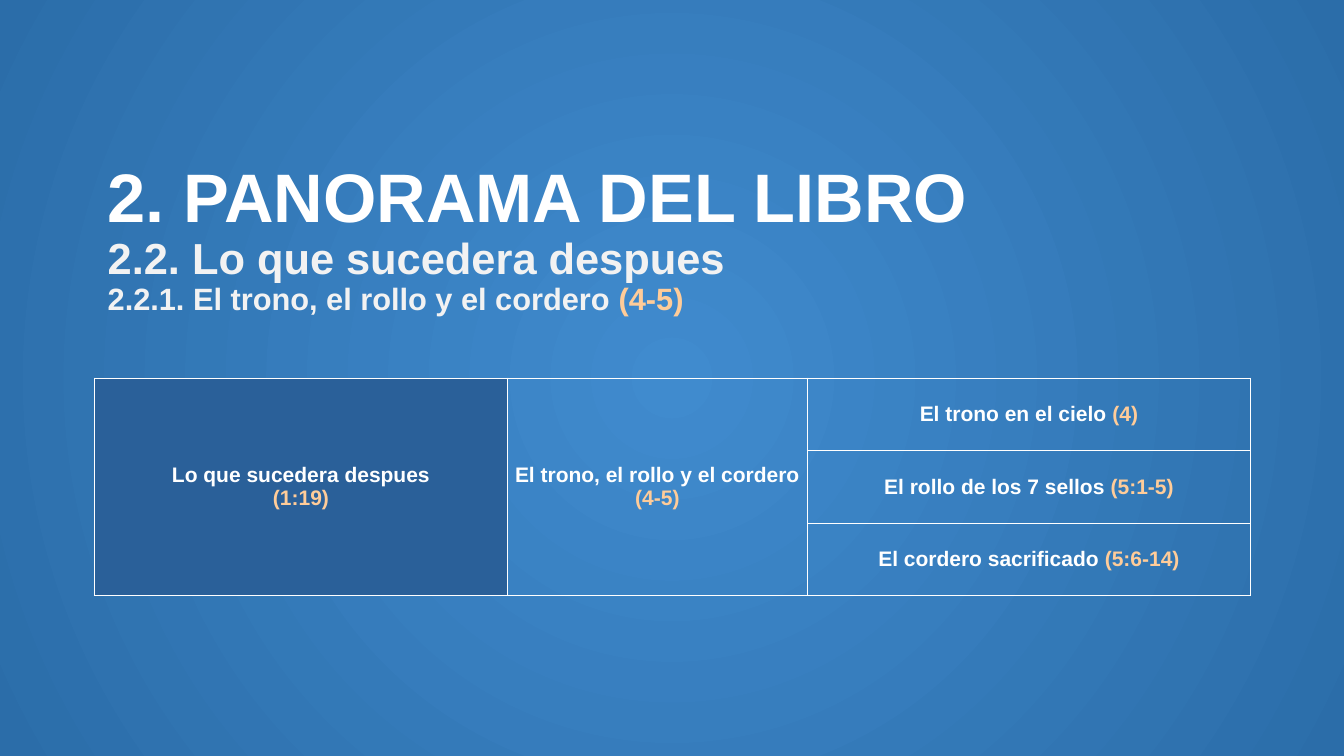
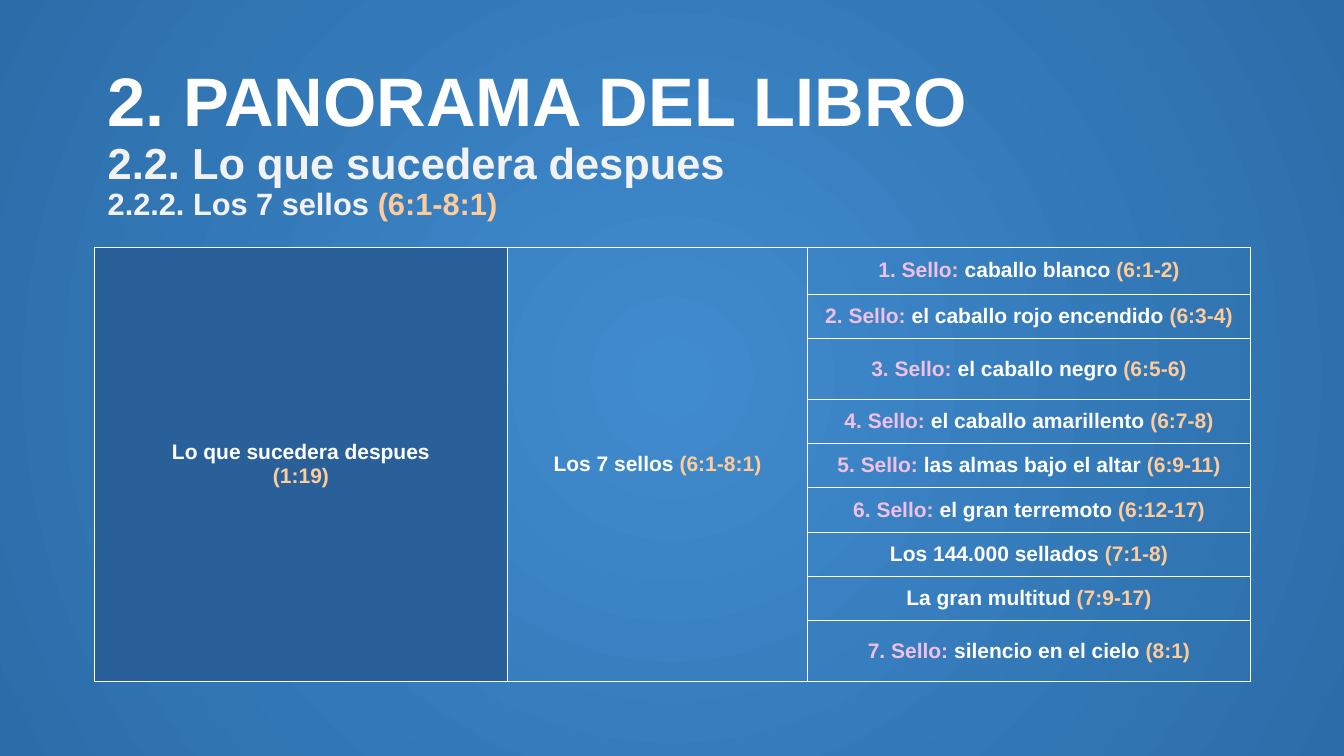
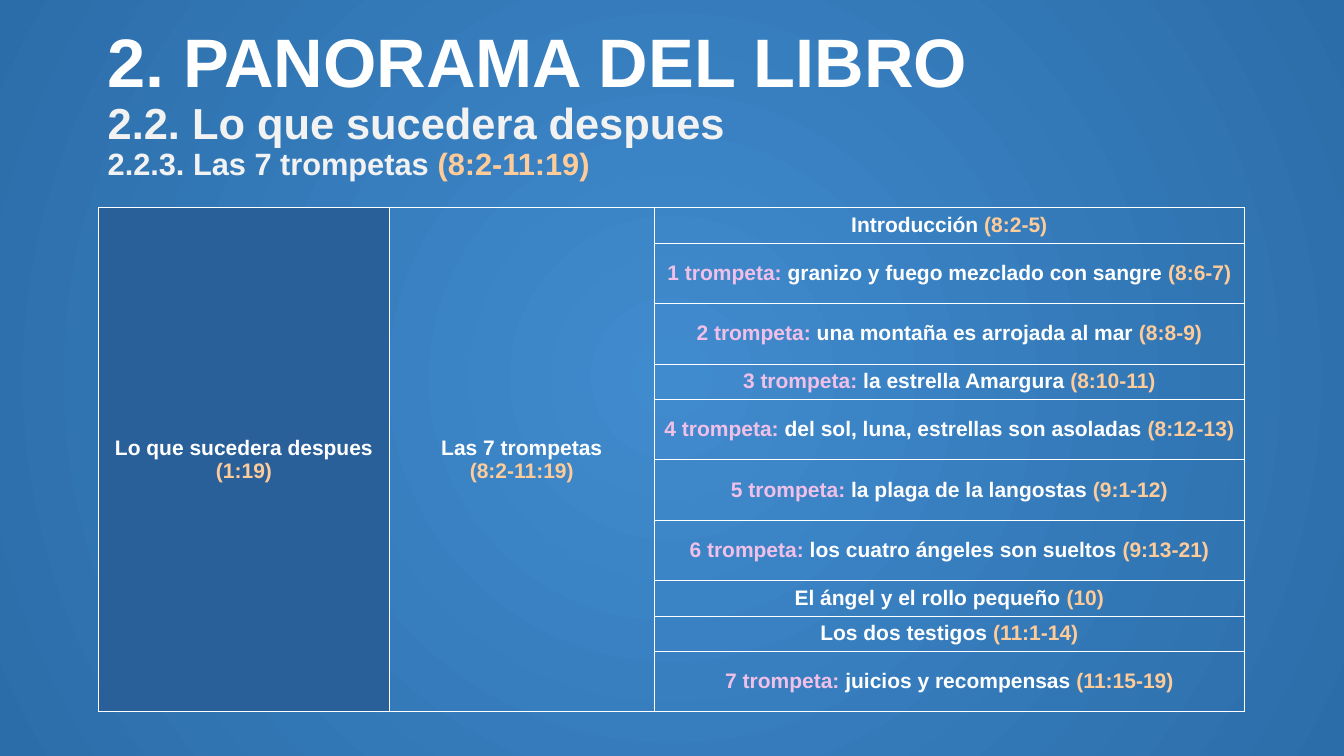
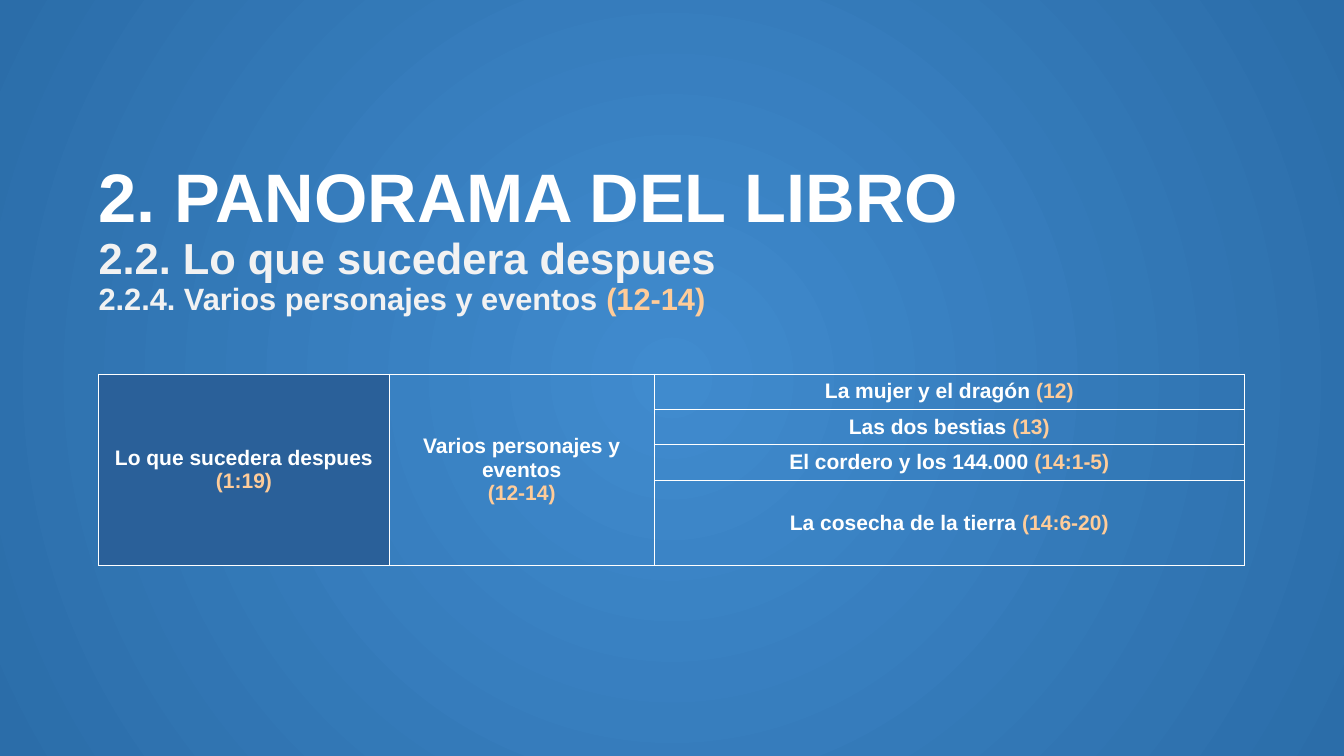
from dataclasses import dataclass

from lxml import etree
from pptx import Presentation
from pptx.dml.color import RGBColor
from pptx.enum.text import MSO_ANCHOR, PP_ALIGN
from pptx.oxml.ns import qn
from pptx.util import Inches, Pt

MIDDLE = MSO_ANCHOR.MIDDLE
CENTER = PP_ALIGN.CENTER


@dataclass(frozen=True)
class Theme:
    font: str = "Arial"
    white: str = "FFFFFF"
    pale: str = "F2F2F2"
    peach: str = "FFCC99"
    pink: str = "F1C0E8"
    navy: str = "2A6099"
    glow: str = "408BCE"
    edge: str = "2B6DA9"
    head: int = 49
    theme: int = 31
    topic: int = 22
    body: int = 15
    rule: float = 0.57


T = Theme()
PLAIN_STYLE = "{2D5ABB26-0587-4C30-8999-92F81FD0307C}"

BOOK = "2. PANORAMA DEL LIBRO"
THEME = "Lo que sucedera despues"
VERSE = "(1:19)"

EVEN = {"left": 0.94, "cols": (4.09, 2.98, 4.39)}
BROAD = {"left": 0.98, "cols": (2.88, 2.63, 5.85)}

SLIDES = [
    {
        "title": (0.97, 1.54), "grid": EVEN, "top": 3.75, "split": True,
        "topic": ("2.2.1.", "El trono, el rollo y el cordero", "(4-5)"),
        "rows": [
            (0.72, "", "El trono en el cielo", "(4)"),
            (0.72, "", "El rollo de los 7 sellos", "(5:1-5)"),
            (0.72, "", "El cordero sacrificado", "(5:6-14)"),
        ],
    },
    {
        "title": (0.97, 0.59), "grid": EVEN, "top": 2.45, "split": False,
        "topic": ("2.2.2.", "Los 7 sellos", "(6:1-8:1)"),
        "rows": [
            (0.47, "1. Sello:", "caballo blanco", "(6:1-2)"),
            (0.44, "2. Sello:", "el caballo rojo encendido", "(6:3-4)"),
            (0.6, "3. Sello:", "el caballo negro", "(6:5-6)"),
            (0.44, "4. Sello:", "el caballo amarillento", "(6:7-8)"),
            (0.44, "5. Sello:", "las almas bajo el altar", "(6:9-11)"),
            (0.44, "6. Sello:", "el gran terremoto", "(6:12-17)"),
            (0.44, "", "Los 144.000 sellados", "(7:1-8)"),
            (0.44, "", "La gran multitud", "(7:9-17)"),
            (0.57, "7. Sello:", "silencio en el cielo", "(8:1)"),
        ],
    },
    {
        "title": (0.97, 0.2), "grid": BROAD, "top": 2.06, "split": True,
        "topic": ("2.2.3.", "Las 7 trompetas", "(8:2-11:19)"),
        "rows": [
            (0.35, "", "Introducción", "(8:2-5)"),
            (0.6, "1 trompeta:", "granizo y fuego mezclado con sangre", "(8:6-7)"),
            (0.6, "2 trompeta:", "una montaña es arrojada al mar", "(8:8-9)"),
            (0.35, "3 trompeta:", "la estrella Amargura", "(8:10-11)"),
            (0.6, "4 trompeta:", "del sol, luna, estrellas son asoladas", "(8:12-13)"),
            (0.6, "5 trompeta:", "la plaga de la langostas", "(9:1-12)"),
            (0.6, "6 trompeta:", "los cuatro ángeles son sueltos", "(9:13-21)"),
            (0.35, "", "El ángel y el rollo pequeño", "(10)"),
            (0.35, "", "Los dos testigos", "(11:1-14)"),
            (0.6, "7 trompeta:", "juicios y recompensas", "(11:15-19)"),
        ],
    },
    {
        "title": (0.88, 1.54), "grid": BROAD, "top": 3.71, "split": True,
        "topic": ("2.2.4.", "Varios personajes y eventos", "(12-14)"),
        "rows": [
            (0.35, "", "La mujer y el dragón", "(12)"),
            (0.35, "", "Las dos bestias", "(13)"),
            (0.35, "", "El cordero y los 144.000", "(14:1-5)"),
            (0.85, "", "La cosecha de la tierra", "(14:6-20)"),
        ],
    },
]


def paint(master):
    fill = master.background.fill
    fill.gradient()
    for stop, place, tint in zip(fill.gradient_stops, (0, 1), (T.glow, T.edge)):
        stop.position = place
        stop.color.rgb = RGBColor.from_string(tint)
    grad = master.element.find(".//" + qn("p:bg")).find(".//" + qn("a:gradFill"))
    line = grad.find(qn("a:lin"))
    ring = etree.Element(qn("a:path"), path="circle")
    etree.SubElement(ring, qn("a:fillToRect"), l="50000", t="50000", r="50000", b="50000")
    grad.replace(line, ring)


def add_run(para, text, size, tint):
    run = para.add_run()
    run.text = text
    font = run.font
    font.name, font.size, font.bold = T.font, Pt(size), True
    font.color.rgb = RGBColor.from_string(tint)


def add_title(slide, place, topic):
    left, top = place
    box = slide.shapes.add_textbox(Inches(left), Inches(top), Inches(11.4), Inches(1.69))
    frame = box.text_frame
    frame.word_wrap = True
    frame.vertical_anchor = MIDDLE
    para = frame.paragraphs[0]
    para.line_spacing = 0.9
    mark, name, verse = topic
    add_run(para, BOOK, T.head, T.white)
    para.add_line_break()
    add_run(para, f"2.2. {THEME}", T.theme, T.pale)
    para.add_line_break()
    add_run(para, f"{mark} {name} ", T.topic, T.pale)
    add_run(para, verse, T.topic, T.peach)


def style_cell(cell):
    cell.margin_left = cell.margin_right = Inches(0.04)
    cell.margin_top = cell.margin_bottom = Inches(0.05)
    cell.vertical_anchor = MIDDLE
    props = cell._tc.get_or_add_tcPr()
    for side in ("lnL", "lnR", "lnT", "lnB"):
        edge = etree.SubElement(props, qn(f"a:{side}"), w=str(int(Pt(T.rule))))
        solid = etree.SubElement(edge, qn("a:solidFill"))
        etree.SubElement(solid, qn("a:srgbClr"), val=T.white)
    cell.fill.background()


def write(cell, lines):
    frame = cell.text_frame
    for i, runs in enumerate(lines):
        para = frame.paragraphs[0] if i == 0 else frame.add_paragraph()
        para.alignment = CENTER
        for text, tint in runs:
            add_run(para, text, T.body, tint)


def pair(name, verse, split):
    if split:
        return [[(name, T.white)], [(verse, T.peach)]]
    return [[(f"{name} ", T.white), (verse, T.peach)]]


def entry(label, name, verse):
    if label:
        return [[(label, T.pink), (f" {name} ", T.white), (verse, T.peach)]]
    return pair(name, verse, False)


def add_grid(slide, data):
    rows, cols = data["rows"], data["grid"]["cols"]
    high = sum(row[0] for row in rows)
    shape = slide.shapes.add_table(
        len(rows), len(cols), Inches(data["grid"]["left"]), Inches(data["top"]),
        Inches(sum(cols)), Inches(high))
    table = shape.table
    table.first_row = table.horz_banding = False
    table._tbl.tblPr.find(qn("a:tableStyleId")).text = PLAIN_STYLE
    for col, wide in zip(table.columns, cols):
        col.width = Inches(wide)
    for cell in table.iter_cells():
        style_cell(cell)
    last = len(rows) - 1
    for c in (0, 1):
        table.cell(0, c).merge(table.cell(last, c))
    lead = table.cell(0, 0)
    lead.fill.solid()
    lead.fill.fore_color.rgb = RGBColor.from_string(T.navy)
    write(lead, pair(THEME, VERSE, True))
    name, verse = data["topic"][1:]
    write(table.cell(0, 1), pair(name, verse, data["split"]))
    for r, (tall, *item) in enumerate(rows):
        table.rows[r].height = Inches(tall)
        write(table.cell(r, 2), entry(*item))


def main():
    deck = Presentation()
    deck.slide_width, deck.slide_height = Inches(13.33), Inches(7.5)
    paint(deck.slide_master)
    blank = deck.slide_layouts[6]
    for data in SLIDES:
        slide = deck.slides.add_slide(blank)
        add_title(slide, data["title"], data["topic"])
        add_grid(slide, data)
    deck.save("out.pptx")


if __name__ == "__main__":
    main()
